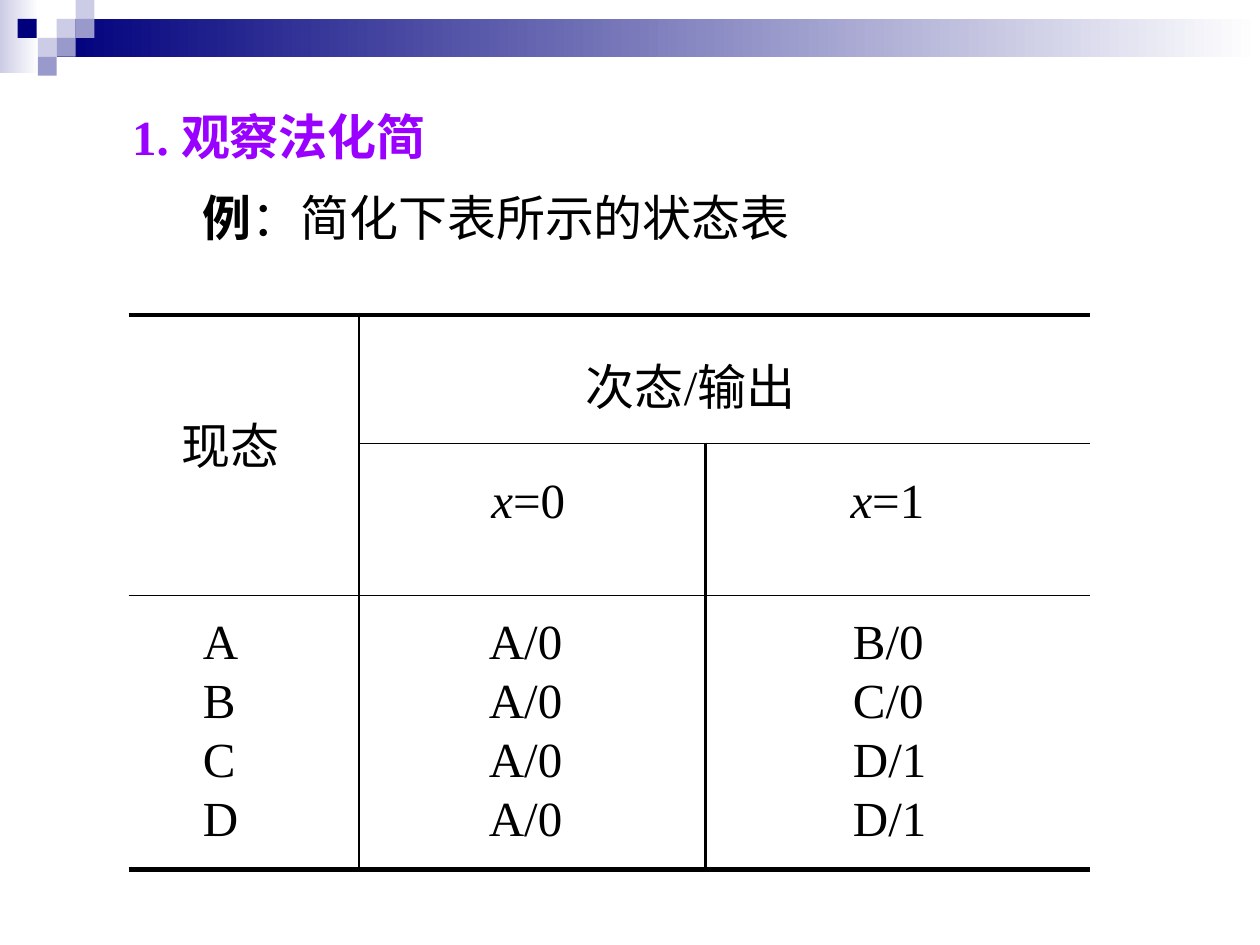
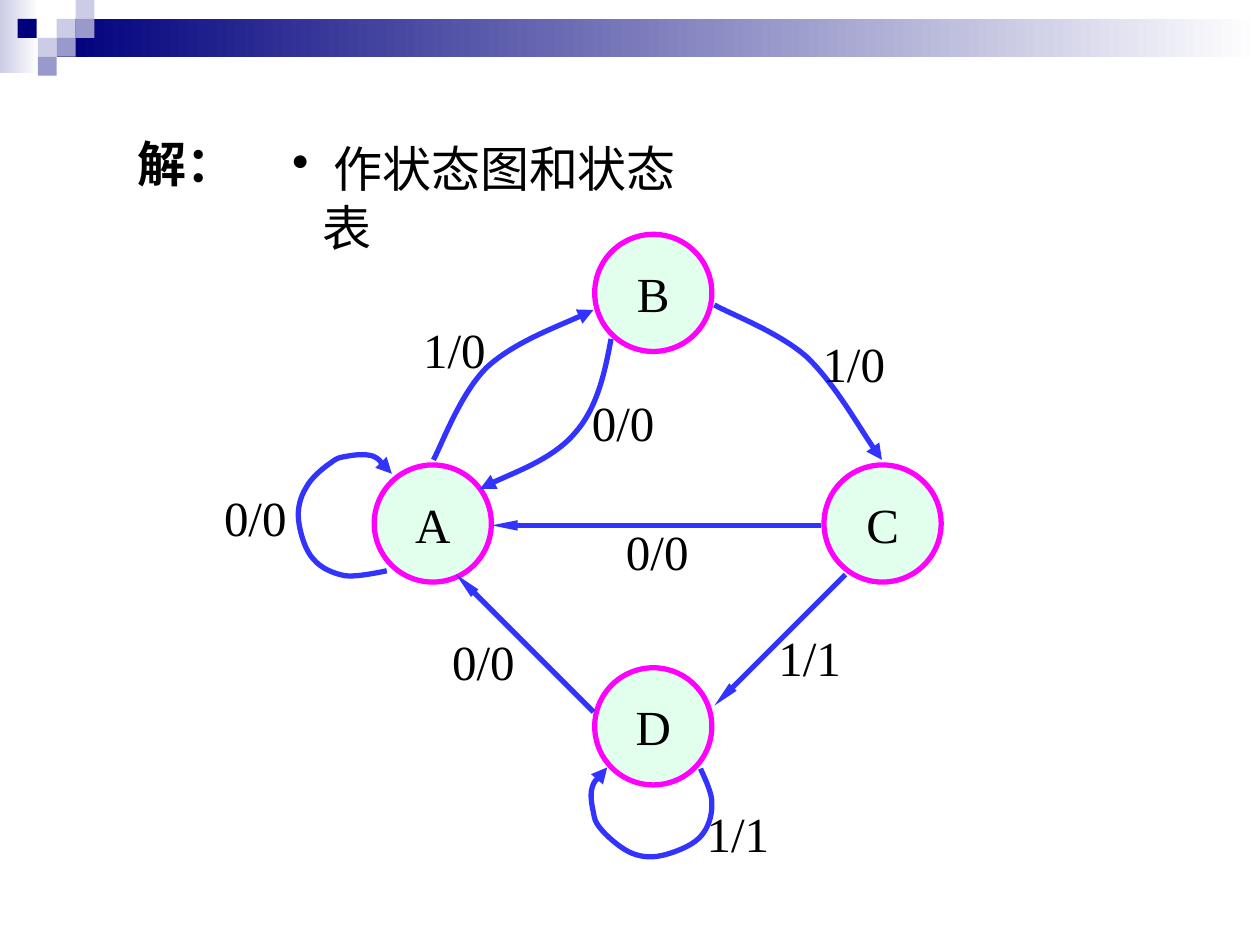
from lxml.etree import SubElement
from pptx import Presentation
from pptx.dml.color import RGBColor
from pptx.enum.lang import MSO_LANGUAGE_ID as Lang
from pptx.enum.shapes import MSO_CONNECTOR as Connector, MSO_SHAPE as Shape
from pptx.enum.text import MSO_ANCHOR as Anchor, PP_ALIGN as Align
from pptx.oxml.ns import qn
from pptx.util import Inches, Pt

FONT, TEXT_SIZE = "Times New Roman", 28
BLACK, WHITE, PURPLE = "000000", "FFFFFF", "9900FF"
NAVY, LAVENDER, PALE = "00007D", "9999CC", "CCCCE6"
STATE_FILL, STATE_LINE, ARROW = "E2FEED", "FF00FF", "3333FF"

# Corner squares: left, top, colour
SQUARE = 0.15
SQUARES = [
    (0.45, 0.15, PALE), (0.6, 0, PALE), (0.6, 0.15, LAVENDER),
    (0.3, 0.3, PALE), (0.14, 0.15, NAVY), (0.45, 0.3, LAVENDER),
    (0.3, 0.45, LAVENDER),
]

COLUMN_WIDTHS = [1.83, 2.75, 3.05]
ROW_HEIGHTS = [1.02, 0.96, 0.62, 0.47, 0.47, 0.61]
# Header cells: row, column, left margin, top margin, runs
HEADERS = [
    (0, 0, 0.42, 0.74, [("现态", {})]),
    (0, 1, 1.8, 0.27, [("次态/输出", {})]),
    (1, 1, 1.05, 0.25, [("x", {"italic": True}), ("=0", {})]),
    (1, 2, 1.15, 0.25, [("x", {"italic": True}), ("=1", {})]),
]
NEXT_STATES = [
    ("A", "A/0", "B/0"), ("B", "A/0", "C/0"),
    ("C", "A/0", "D/1"), ("D", "A/0", "D/1"),
]
BODY_MARGINS = [0.59, 1.03, 1.17]

STATE_SIZE = 0.93
STATES = {"A": (2.97, 3.69), "B": (4.72, 1.86), "C": (6.54, 3.69), "D": (4.72, 5.3)}
STRAIGHT_MOVES = [
    ((4.71, 5.65), (3.62, 4.56)),
    ((6.52, 4.17), (3.9, 4.17)),
    ((6.71, 4.56), (5.67, 5.6)),
]
# Start point, then three Bezier points for each segment
CURVED_MOVES = [
    [(3.07, 4.53), (3.02, 4.54), (2.84, 4.58), (2.74, 4.57),
     (2.64, 4.55), (2.55, 4.51), (2.49, 4.44),
     (2.42, 4.37), (2.38, 4.22), (2.37, 4.13),
     (2.36, 4.04), (2.38, 3.95), (2.43, 3.87),
     (2.47, 3.79), (2.57, 3.71), (2.63, 3.67),
     (2.68, 3.63), (2.7, 3.63), (2.76, 3.62),
     (2.81, 3.61), (2.9, 3.6), (2.96, 3.62),
     (3.02, 3.65), (3.08, 3.74), (3.11, 3.76)],
    [(4.85, 2.69), (4.8, 2.96), (4.74, 3.24), (4.56, 3.44),
     (4.39, 3.64), (3.93, 3.81), (3.81, 3.88)],
    [(3.44, 3.65), (3.51, 3.52), (3.66, 3.11), (3.87, 2.91),
     (4.08, 2.72), (4.53, 2.55), (4.71, 2.46)],
    [(5.56, 6.1), (5.58, 6.15), (5.66, 6.3), (5.65, 6.39),
     (5.65, 6.48), (5.62, 6.58), (5.55, 6.65),
     (5.48, 6.72), (5.34, 6.77), (5.25, 6.79),
     (5.16, 6.81), (5.07, 6.8), (4.99, 6.76),
     (4.91, 6.72), (4.81, 6.63), (4.77, 6.58),
     (4.72, 6.52), (4.72, 6.5), (4.71, 6.45),
     (4.7, 6.4), (4.68, 6.31), (4.7, 6.25),
     (4.72, 6.19), (4.8, 6.12), (4.82, 6.09)],
    [(5.67, 2.42), (5.79, 2.49), (6.17, 2.63), (6.4, 2.83),
     (6.62, 3.04), (6.87, 3.48), (7, 3.65)],
]
# Input/output labels: left, top, text
MOVE_LABELS = [
    (1.68, 3.82, "0/0"), (3.49, 4.96, "0/0"), (4.87, 4.09, "0/0"),
    (4.6, 3.07, "0/0"), (3.26, 2.49, "1/0"), (6.08, 4.93, "1/1"),
    (5.51, 6.33, "1/1"), (6.43, 2.6, "1/0"),
]


def rgb(hex_string):
    return RGBColor.from_string(hex_string)


def rule_above(row, column):
    """Width in points of the table rule above a cell, 0 for none."""
    if row in (0, len(ROW_HEIGHTS)):
        return 3
    return 1 if row == 2 or (row == 1 and column > 0) else 0


def rule_left(row, column):
    """Width in points of the table rule left of a cell, 0 for none."""
    return 1.5 if column == 1 or (column == 2 and row > 0) else 0


class Deck:
    """Holds the shared style and the slide being drawn."""

    def __init__(self):
        self.prs = Presentation()
        self.prs.slide_width, self.prs.slide_height = Inches(10), Inches(7.5)
        self.slide = None

    def new_slide(self):
        self.slide = self.prs.slides.add_slide(self.prs.slide_layouts[6])
        self.fade_band(0, 0, 0.31, 0.58, PALE)
        self.fade_band(0.45, 0.15, 9.55, 0.3, NAVY)
        for left, top, color in SQUARES:
            self.shape(Shape.RECTANGLE, left, top, SQUARE, SQUARE, color)

    def shape(self, kind, left, top, width, height, color, outline=None):
        shape = self.slide.shapes.add_shape(
            kind, Inches(left), Inches(top), Inches(width), Inches(height))
        shape.shadow.inherit = False
        shape.fill.solid()
        shape.fill.fore_color.rgb = rgb(color)
        if outline:
            self.stroke(shape.line, outline)
        else:
            shape.line.fill.background()
        return shape

    def fade_band(self, left, top, width, height, color):
        """Band that fades from its colour to white at the right."""
        fill = self.shape(Shape.RECTANGLE, left, top, width, height, color).fill
        fill.gradient()
        fill.gradient_angle = 0
        for stop, stop_color in zip(fill.gradient_stops, (color, WHITE)):
            stop.color.rgb = rgb(stop_color)

    def stroke(self, line, color):
        line.color.rgb = rgb(color)
        line.width = Pt(3)

    def add_runs(self, paragraph, runs):
        """Add (text, options) runs; options are color, bold and italic."""
        for text, options in runs:
            run = paragraph.add_run()
            run.text = text
            font = run.font
            font.name, font.size = FONT, Pt(TEXT_SIZE)
            font.language_id = Lang.SIMPLIFIED_CHINESE
            font.color.rgb = rgb(options.get("color", BLACK))
            font.bold = options.get("bold", False)
            font.italic = options.get("italic", False)

    def text(self, left, top, width, runs, bullet=False):
        box = self.slide.shapes.add_textbox(
            Inches(left), Inches(top), Inches(width), Inches(0.57))
        frame = box.text_frame
        frame.word_wrap = bullet
        paragraph = frame.paragraphs[0]
        if bullet:
            props = paragraph._p.get_or_add_pPr()
            props.set("marL", str(Inches(0.24)))
            props.set("indent", str(-Inches(0.24)))
            color = SubElement(props, qn("a:buClr"))
            SubElement(color, qn("a:srgbClr"), val=BLACK)
            SubElement(props, qn("a:buChar"), char="•")
        self.add_runs(paragraph, runs)

    def state(self, name, left, top):
        circle = self.shape(Shape.OVAL, left, top, STATE_SIZE, STATE_SIZE,
                            STATE_FILL, STATE_LINE)
        frame = circle.text_frame
        frame.word_wrap = False
        frame.vertical_anchor = Anchor.MIDDLE
        frame.paragraphs[0].alignment = Align.CENTER
        self.add_runs(frame.paragraphs[0], [(name, {})])

    def arrowhead(self, shape, width, length):
        line = shape.element.spPr.find(qn("a:ln"))
        SubElement(line, qn("a:tailEnd"), type="triangle", w=width, len=length)

    def straight_arrow(self, start, end):
        arrow = self.slide.shapes.add_connector(
            Connector.STRAIGHT, *map(Inches, start + end))
        self.stroke(arrow.line, ARROW)
        self.arrowhead(arrow, "sm", "lg")
        SubElement(arrow.element.spPr, qn("a:effectLst"))

    def curved_arrow(self, points):
        """Freeform whose points, three by three, become Bezier segments."""
        start, *rest = [(Inches(x), Inches(y)) for x, y in points]
        builder = self.slide.shapes.build_freeform(*start)
        builder.add_line_segments(rest, close=False)
        arrow = builder.convert_to_shape()
        outline = next(arrow.element.iter(qn("a:path")))
        corners = outline.findall(qn("a:lnTo"))
        for first in range(0, len(corners), 3):
            curve = SubElement(outline, qn("a:cubicBezTo"))
            for corner in corners[first:first + 3]:
                curve.append(corner[0])
                outline.remove(corner)
        arrow.shadow.inherit = False
        arrow.fill.background()
        self.stroke(arrow.line, ARROW)
        self.arrowhead(arrow, "med", "med")

    def cell_rules(self, cell, row, column):
        props = cell._tc.get_or_add_tcPr()
        widths = {
            "a:lnL": rule_left(row, column),
            "a:lnR": rule_left(row, column + 1),
            "a:lnT": rule_above(row, column),
            "a:lnB": rule_above(row + 1, column),
        }
        for side, width in widths.items():
            line = SubElement(props, qn(side), w=str(Pt(width)))
            if width:
                fill = SubElement(line, qn("a:solidFill"))
                SubElement(fill, qn("a:srgbClr"), val=BLACK)
            else:
                SubElement(line, qn("a:noFill"))
        cell.fill.background()

    def cell_text(self, cell, left, top, runs):
        cell.margin_left, cell.margin_top = Inches(left), Inches(top)
        cell.margin_right = cell.margin_bottom = 0
        self.add_runs(cell.text_frame.paragraphs[0], runs)

    def state_table(self, left, top):
        table = self.slide.shapes.add_table(
            len(ROW_HEIGHTS), len(COLUMN_WIDTHS), Inches(left), Inches(top),
            Inches(sum(COLUMN_WIDTHS)), Inches(sum(ROW_HEIGHTS))).table
        table.first_row = table.horz_banding = False
        for column, width in zip(table.columns, COLUMN_WIDTHS):
            column.width = Inches(width)
        for r, height in enumerate(ROW_HEIGHTS):
            table.rows[r].height = Inches(height)
            for c in range(len(COLUMN_WIDTHS)):
                self.cell_rules(table.cell(r, c), r, c)
        table.cell(0, 0).merge(table.cell(1, 0))
        table.cell(0, 1).merge(table.cell(0, 2))
        for r, c, margin_left, margin_top, runs in HEADERS:
            self.cell_text(table.cell(r, c), margin_left, margin_top, runs)
        for r, entries in enumerate(NEXT_STATES, start=2):
            margin_top = 0.16 if r == 2 else 0
            for c, entry in enumerate(entries):
                self.cell_text(table.cell(r, c), BODY_MARGINS[c], margin_top,
                               [(entry, {})])


def example_slide(deck):
    deck.new_slide()
    deck.text(0.95, 0.8, 2.62, [("1. 观察法化简", {"color": PURPLE, "bold": True})])
    deck.text(1.51, 1.44, 4.86,
              [("例", {"bold": True}), ("：简化下表所示的状态表", {})])
    deck.state_table(1.02, 2.5)


def solution_slide(deck):
    deck.new_slide()
    deck.text(0.99, 1.01, 0.97, [("解：", {"bold": True})])
    deck.text(2.22, 1.05, 3.53, [(" 作状态图和状态表", {})], bullet=True)
    for name, (left, top) in STATES.items():
        deck.state(name, left, top)
    for start, end in STRAIGHT_MOVES:
        deck.straight_arrow(start, end)
    for points in CURVED_MOVES:
        deck.curved_arrow(points)
    for left, top, label in MOVE_LABELS:
        deck.text(left, top, 0.76, [(label, {})])


def main():
    deck = Deck()
    example_slide(deck)
    solution_slide(deck)
    deck.prs.save("out.pptx")


if __name__ == "__main__":
    main()
